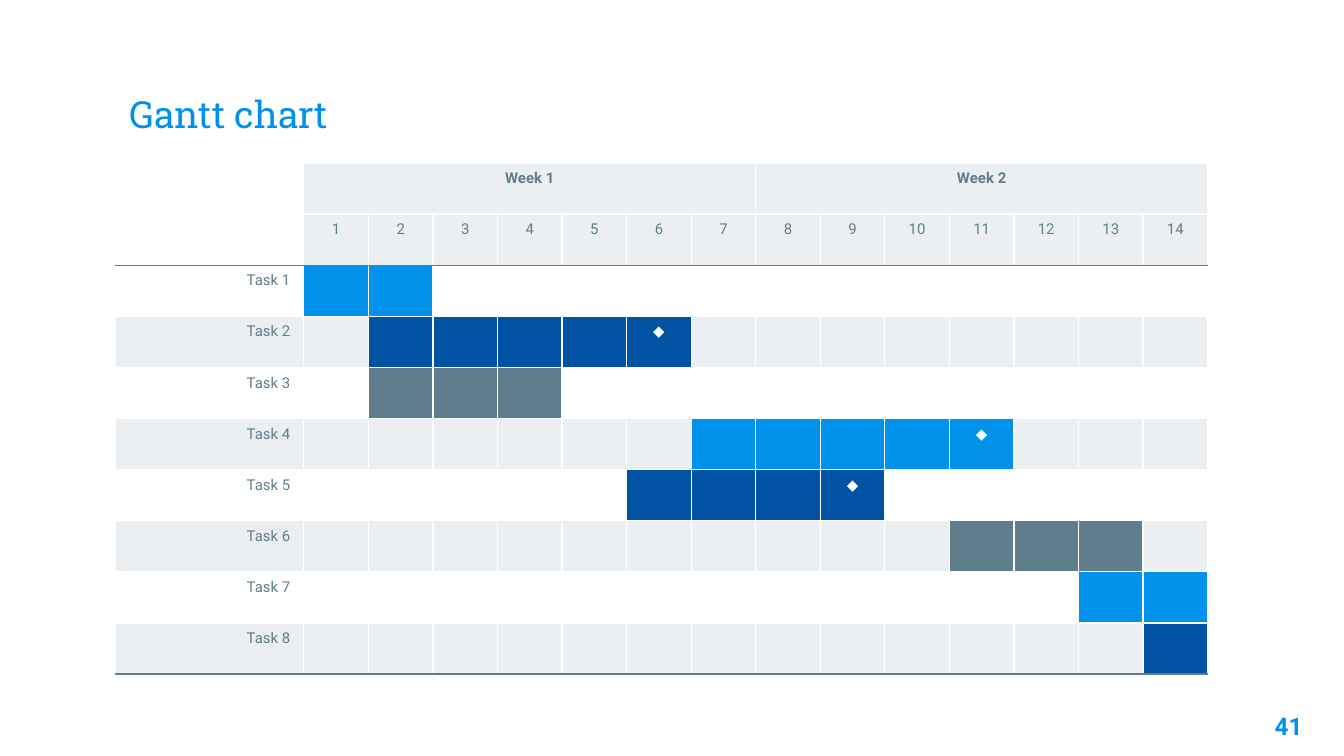
import pptx
import pptx.util
import pptx.dml.color
import pptx.enum.text
import pptx.oxml.ns
import lxml.etree

Pt = pptx.util.Pt
RGBColor = pptx.dml.color.RGBColor
ALIGN = pptx.enum.text.PP_ALIGN
ANCHOR = pptx.enum.text.MSO_ANCHOR

SKY = RGBColor(0x00, 0x91, 0xEA)
NAVY = RGBColor(0x00, 0x53, 0xA3)
SLATE = RGBColor(0x60, 0x7D, 0x8B)
PALE = RGBColor(0xEC, 0xEF, 0xF1)
WHITE = RGBColor(0xFF, 0xFF, 0xFF)

TITLE = "Gantt chart"
PAGE_NUMBER = "41"
WEEKS = ["Week 1", "Week 2"]
DAYS_PER_WEEK = 7
MILESTONE = "◆"
# name, first day, last day, bar colour, milestone day
TASKS = [
    ("Task 1", 1, 2, SKY, None),
    ("Task 2", 2, 6, NAVY, 6),
    ("Task 3", 2, 4, SLATE, None),
    ("Task 4", 7, 11, SKY, 11),
    ("Task 5", 6, 9, NAVY, 9),
    ("Task 6", 11, 13, SLATE, None),
    ("Task 7", 13, 14, SKY, None),
    ("Task 8", 14, 14, NAVY, None),
]

HEADER_ROWS = 2
DAY_COUNT = DAYS_PER_WEEK * len(WEEKS)
ROW_COUNT = HEADER_ROWS + len(TASKS)
LABEL_WIDTH, DAY_WIDTH, ROW_HEIGHT = 100.8, 34.61, 27.4
TABLE_LEFT, TABLE_TOP = 62, 87.3
BORDER_WIDTH = 0.75

TITLE_FONT = {"name": "Roboto Slab", "size": Pt(20), "bold": False}
NUMBER_FONT = {"name": "Roboto", "size": Pt(13), "bold": True}
CELL_FONT = {"name": "Roboto", "size": Pt(8), "bold": False}
WEEK_FONT = {**CELL_FONT, "bold": True}


def write(frame, text, font_format, color, align):
    paragraph = frame.paragraphs[0]
    paragraph.alignment = align
    run = paragraph.add_run()
    run.text = text
    for attribute, value in font_format.items():
        setattr(run.font, attribute, value)
    run.font.color.rgb = color


def set_frame(frame, anchor):
    settings = {"word_wrap": True, "vertical_anchor": anchor,
                "auto_size": pptx.enum.text.MSO_AUTO_SIZE.NONE}
    for side in ("left", "top", "right", "bottom"):
        settings[f"margin_{side}"] = Pt(7.2)
    for attribute, value in settings.items():
        setattr(frame, attribute, value)


def place(shape, left, top, width, height):
    shape.left, shape.top = Pt(left), Pt(top)
    shape.width, shape.height = Pt(width), Pt(height)


def set_borders(cell, top, bottom):
    """Draw white side borders and the given top and bottom colours."""
    qn = pptx.oxml.ns.qn
    properties = cell._tc.get_or_add_tcPr()
    sides = {"lnL": WHITE, "lnR": WHITE, "lnT": top, "lnB": bottom}
    for position, (tag, color) in enumerate(sides.items()):
        line = lxml.etree.Element(qn(f"a:{tag}"), w=str(Pt(BORDER_WIDTH)))
        fill = lxml.etree.SubElement(line, qn("a:solidFill"))
        lxml.etree.SubElement(fill, qn("a:srgbClr"), val=str(color))
        properties.insert(position, line)


def cell_fill(row, column):
    """Return the fill colour of a cell, or None where it is clear."""
    if row < HEADER_ROWS:
        return PALE if column else None
    _, first, last, color, _ = TASKS[row - HEADER_ROWS]
    if first <= column <= last:
        return color
    return PALE if row % 2 else None


def format_cell(cell, row, column):
    color = cell_fill(row, column)
    if color is None:
        cell.fill.background()
    else:
        cell.fill.solid()
        cell.fill.fore_color.rgb = color
    set_borders(cell,
                top=SLATE if row == HEADER_ROWS else WHITE,
                bottom=SLATE if row in (HEADER_ROWS - 1, ROW_COUNT - 1) else WHITE)
    # Small empty paragraphs keep the rows from growing
    end = cell.text_frame.paragraphs[0]._p.get_or_add_endParaRPr()
    end.set("sz", "800")


def add_gantt(slide):
    frame = slide.shapes.add_table(
        ROW_COUNT, DAY_COUNT + 1, Pt(TABLE_LEFT), Pt(TABLE_TOP),
        Pt(LABEL_WIDTH + DAY_COUNT * DAY_WIDTH), Pt(ROW_COUNT * ROW_HEIGHT))
    gantt = frame.table
    gantt.first_row = gantt.horz_banding = False
    for column, part in enumerate(gantt.columns):
        part.width = Pt(DAY_WIDTH if column else LABEL_WIDTH)
    for row, part in enumerate(gantt.rows):
        part.height = Pt(ROW_HEIGHT)
        for column in range(DAY_COUNT + 1):
            format_cell(gantt.cell(row, column), row, column)

    for index, week in enumerate(WEEKS):
        first = 1 + index * DAYS_PER_WEEK
        heading = gantt.cell(0, first)
        heading.merge(gantt.cell(0, first + DAYS_PER_WEEK - 1))
        write(heading.text_frame, week, WEEK_FONT, SLATE, ALIGN.CENTER)
    for day in range(1, DAY_COUNT + 1):
        write(gantt.cell(1, day).text_frame, str(day), CELL_FONT, SLATE, ALIGN.CENTER)
    for row, (name, _, _, _, milestone) in enumerate(TASKS, HEADER_ROWS):
        write(gantt.cell(row, 0).text_frame, name, CELL_FONT, SLATE, ALIGN.RIGHT)
        if milestone:
            write(gantt.cell(row, milestone).text_frame, MILESTONE,
                  CELL_FONT, WHITE, ALIGN.CENTER)


def main():
    deck = pptx.Presentation()
    deck.slide_width, deck.slide_height = Pt(720), Pt(405)
    slide = deck.slides.add_slide(deck.slide_layouts[5])

    title = slide.shapes.title
    place(title, 62, 24.5, 596, 55.5)
    set_frame(title.text_frame, ANCHOR.BOTTOM)
    write(title.text_frame, TITLE, TITLE_FONT, SKY, ALIGN.LEFT)

    page_number = slide.shapes.add_textbox(Pt(661.7), Pt(373.7), Pt(43.2), Pt(31))
    set_frame(page_number.text_frame, ANCHOR.TOP)
    write(page_number.text_frame, PAGE_NUMBER, NUMBER_FONT, SKY, ALIGN.RIGHT)

    add_gantt(slide)
    deck.save("out.pptx")


if __name__ == "__main__":
    main()
